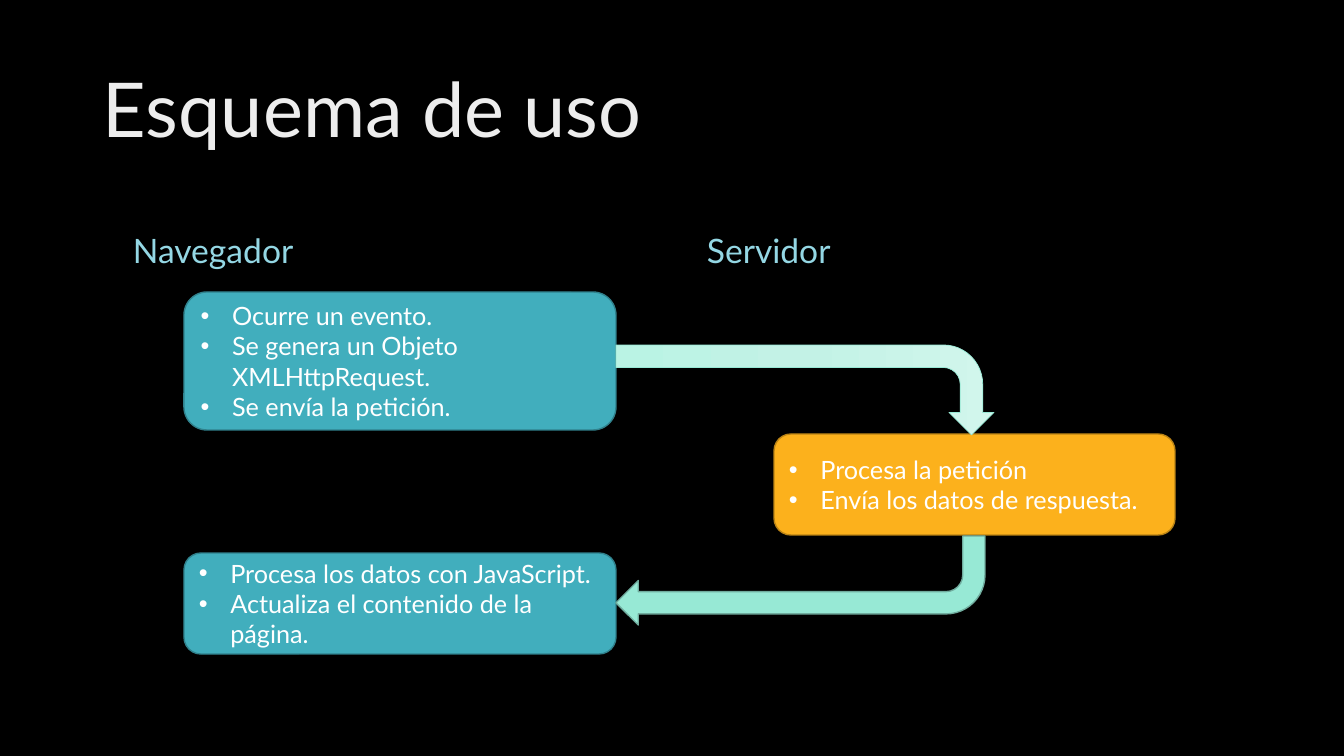
from pptx import Presentation
from pptx.dml.color import RGBColor as RGB
from pptx.enum.shapes import MSO_SHAPE as Shape
from pptx.enum.text import MSO_ANCHOR as Anchor, PP_ALIGN as Align
from pptx.oxml import parse_xml
from pptx.oxml.ns import nsdecls
from pptx.util import Emu, Pt

SCALE = 914400 / 100.8
FONT = "Lato"
BLACK = RGB(0, 0, 0)
WHITE = RGB(255, 255, 255)
TEAL, TEAL_EDGE = RGB(0x41, 0xAE, 0xBD), RGB(0x30, 0x81, 0x8C)
AMBER, AMBER_EDGE = RGB(0xFC, 0xB1, 0x1C), RGB(0xBA, 0x83, 0x15)
MINT, MINT_EDGE = RGB(0x97, 0xE9, 0xD5), RGB(0x70, 0xAC, 0x9E)

# Gradients: clockwise angle, then (percent, colour) stops
SILVER = 80, [(0, "BFBFBF"), (28, "EDEDED"), (100, "FFFFFF")]
AQUA = 270, [(0, "9FDBE7"), (15, "94D7E4"), (73, "BFE7EF"), (100, "FFFFFF")]
PALE = 90, [(0, "D1F6EC"), (50, "C3F2E6"), (100, "BAF3E4")]

# Text, place, size, anchor, gradient, space before, hanging indent
HEADS = [
    ("Esquema de uso", (93, 40, 1159, 146), 54, Anchor.MIDDLE, SILVER, 0, 0),
    ("Navegador", (123, 185, 554, 91), 24, Anchor.BOTTOM, AQUA, 10, 0),
    ("Servidor", (697, 185, 555, 91), 24, Anchor.BOTTOM, AQUA, 10, 25),
]
STEPS = [
    (["Ocurre un evento.", "Se genera un Objeto XMLHttpRequest.",
      "Se envía la petición."], (184, 292, 432, 138), TEAL, TEAL_EDGE),
    (["Procesa la petición", "Envía los datos de respuesta."],
     (774, 434, 401, 101), AMBER, AMBER_EDGE),
    (["Procesa los datos con JavaScript.",
      "Actualiza el contenido de la página."],
     (184, 553, 432, 101), TEAL, TEAL_EDGE),
]
# Place before turning, turn, fill, edge, edge width
ARROWS = [
    ((760, 201, 90, 378), 90, PALE, MINT, 0.5),
    ((616, 536, 369, 89), 180, MINT, MINT_EDGE, 1),
]


def px(n):
    """Turn pixels into EMU."""
    return Emu(round(n * SCALE))


def blend(fill, node, grad):
    """Give a fill, held in node, a linear gradient."""
    angle, stops = grad
    fill.gradient()
    fill.gradient_angle = 360 - angle
    gs = "".join(f'<a:gs pos="{pos * 1000}"><a:srgbClr val="{tone}"/></a:gs>'
                 for pos, tone in stops)
    old = node.xpath(".//a:gsLst")[0]
    new = parse_xml(f'<a:gsLst {nsdecls("a")}>{gs}</a:gsLst>')
    old.getparent().replace(old, new)


def hang(para, depth, mark=None):
    """Set a hanging indent and, if given, a bullet."""
    props = para._p.get_or_add_pPr()
    props.set("marL", str(px(depth)))
    props.set("indent", str(-px(depth)))
    if mark:
        props.append(parse_xml(f'<a:buFont {nsdecls("a")} typeface="Arial"/>'))
        props.append(parse_xml(f'<a:buChar {nsdecls("a")} char="{mark}"/>'))


def style(run, size):
    """Set the font and size of a run."""
    run.font.name = FONT
    run.font.size = Pt(size)


def add_head(text, place, size, anchor, grad, before, depth):
    """Add a title or column heading."""
    frame = slide.shapes.add_textbox(*map(px, place)).text_frame
    frame.word_wrap = True
    frame.vertical_anchor = anchor
    frame.text = text
    para = frame.paragraphs[0]
    para.line_spacing = 0.9
    para.space_before = Pt(before)
    hang(para, depth)
    run = para.runs[0]
    style(run, size)
    blend(run.font.fill, run._r, grad)


def add_form(kind, place, fill, edge, width):
    """Add a preset shape with a solid or gradient fill."""
    form = slide.shapes.add_shape(kind, *map(px, place))
    form.shadow.inherit = False
    if isinstance(fill, RGB):
        form.fill.solid()
        form.fill.fore_color.rgb = fill
    else:
        blend(form.fill, form._element.spPr, fill)
    form.line.color.rgb = edge
    form.line.width = Pt(width)
    return form


def add_step(lines, place, fill, edge):
    """Add a rounded box with a bulleted list."""
    frame = add_form(Shape.ROUNDED_RECTANGLE, place, fill, edge, 1).text_frame
    frame.word_wrap = True
    frame.vertical_anchor = Anchor.MIDDLE
    frame.text = "\n".join(lines)
    for para in frame.paragraphs:
        para.alignment = Align.LEFT
        hang(para, 31.5, "•")
        run = para.runs[0]
        style(run, 18)
        run.font.color.rgb = WHITE


deck = Presentation()
deck.slide_width, deck.slide_height = px(1344), px(756)
slide = deck.slides.add_slide(deck.slide_layouts[6])
slide.background.fill.solid()
slide.background.fill.fore_color.rgb = BLACK

for head in HEADS:
    add_head(*head)
for step in STEPS:
    add_step(*step)
for place, turn, fill, edge, width in ARROWS:
    add_form(Shape.BENT_ARROW, place, fill, edge, width).rotation = turn

deck.save("out.pptx")
